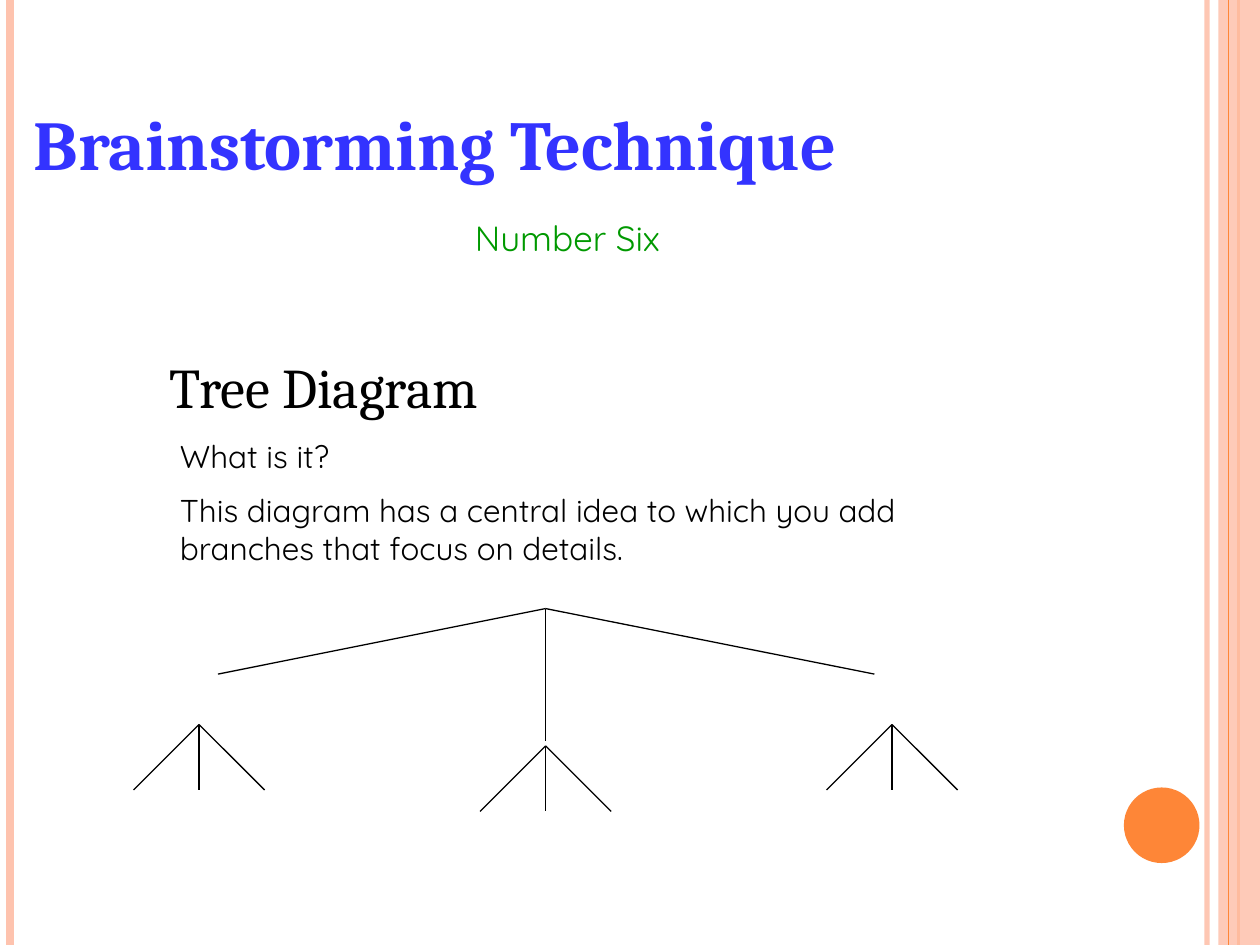
"""Build the Tree Diagram brainstorming slide."""
import lxml.etree
import pptx
import pptx.dml.color
import pptx.enum.shapes
import pptx.enum.text
import pptx.oxml.ns
import pptx.util

Inches = pptx.util.Inches
Pt = pptx.util.Pt
RGBColor = pptx.dml.color.RGBColor
qn = pptx.oxml.ns.qn
SHAPES = pptx.enum.shapes.MSO_SHAPE

PEACH = RGBColor(0xFE, 0xC3, 0xAE)
ORANGE = RGBColor(0xFE, 0x86, 0x37)
BLUE = RGBColor(0x33, 0x33, 0xFF)
GREEN = RGBColor(0x00, 0x99, 0x00)
BLACK = RGBColor(0x00, 0x00, 0x00)
HEADING_FONT = "Cambria"
BODY_FONT = "Quicksand"

presentation = pptx.Presentation()
presentation.slide_width = Inches(10)
presentation.slide_height = Inches(7.5)
slide = presentation.slides.add_slide(presentation.slide_layouts[6])


def add_line(start, end, color=BLACK, width=0.75):
    line = slide.shapes.add_connector(
        pptx.enum.shapes.MSO_CONNECTOR.STRAIGHT,
        Inches(start[0]), Inches(start[1]), Inches(end[0]), Inches(end[1]),
    )
    line.line.color.rgb = color
    line.line.width = Pt(width)
    lxml.etree.SubElement(line._element.spPr, qn("a:effectLst"))
    return line


def add_text(text, left, top, width, height, size, font, color=BLACK, bold=False, space_before=0):
    box = slide.shapes.add_textbox(Inches(left), Inches(top), Inches(width), Inches(height))
    frame = box.text_frame
    frame.word_wrap = True
    frame.auto_size = pptx.enum.text.MSO_AUTO_SIZE.SHAPE_TO_FIT_TEXT
    frame.text = text
    for index, paragraph in enumerate(frame.paragraphs):
        paragraph.space_before = Pt(space_before if index else 0)
        paragraph.font.size = Pt(size)
        paragraph.font.name = font
        paragraph.font.bold = bold
        paragraph.font.color.rgb = color


right_rule = add_line((9.58, 0), (9.58, 7.5), PEACH, 3)
add_line((0.08, 0), (0.08, 7.5), PEACH, 4.5)
add_line((9.83, 0), (9.83, 7.5), ORANGE, 1.5)
side_band = slide.shapes.add_shape(SHAPES.RECTANGLE, Inches(9.67), 0, Inches(0.33), Inches(7.5))
add_line((9.75, 0), (9.75, 7.5), ORANGE)
circle = slide.shapes.add_shape(SHAPES.OVAL, Inches(8.92), Inches(6.25), Inches(0.6), Inches(0.6))

for shape, color in ((side_band, PEACH), (circle, ORANGE)):
    shape.shadow.inherit = False
    shape.fill.solid()
    shape.fill.fore_color.rgb = color
    shape.line.fill.background()

for shape, opacity in ((right_rule, 93), (side_band, 87)):
    color_element = shape._element.spPr.find(".//" + qn("a:srgbClr"))
    lxml.etree.SubElement(color_element, qn("a:alpha"), val=str(opacity * 1000))

add_text("Brainstorming Technique", left=0.17, top=0.75, width=6.83, height=0.77,
         size=40, font=HEADING_FONT, color=BLUE, bold=True)
add_text("Number Six", left=3.67, top=1.67, width=3.5, height=0.43,
         size=20, font=BODY_FONT, color=GREEN)
add_text("Tree Diagram", left=1.25, top=2.75, width=4.25, height=0.63,
         size=32, font=HEADING_FONT)
add_text("What is it?\nThis diagram has a central idea to which you add branches that focus on details.",
         left=1.33, top=3.42, width=7, height=1.15, size=18, font=BODY_FONT, space_before=9)

root = (4.33, 4.83)
for end in ((1.73, 5.35), (4.33, 5.88), (6.94, 5.35)):
    add_line(root, end)

for x, y in ((1.58, 5.75), (7.08, 5.75), (4.33, 5.92)):
    for offset in (-0.52, 0, 0.52):
        add_line((x, y), (x + offset, y + 0.52))

presentation.save("out.pptx")
